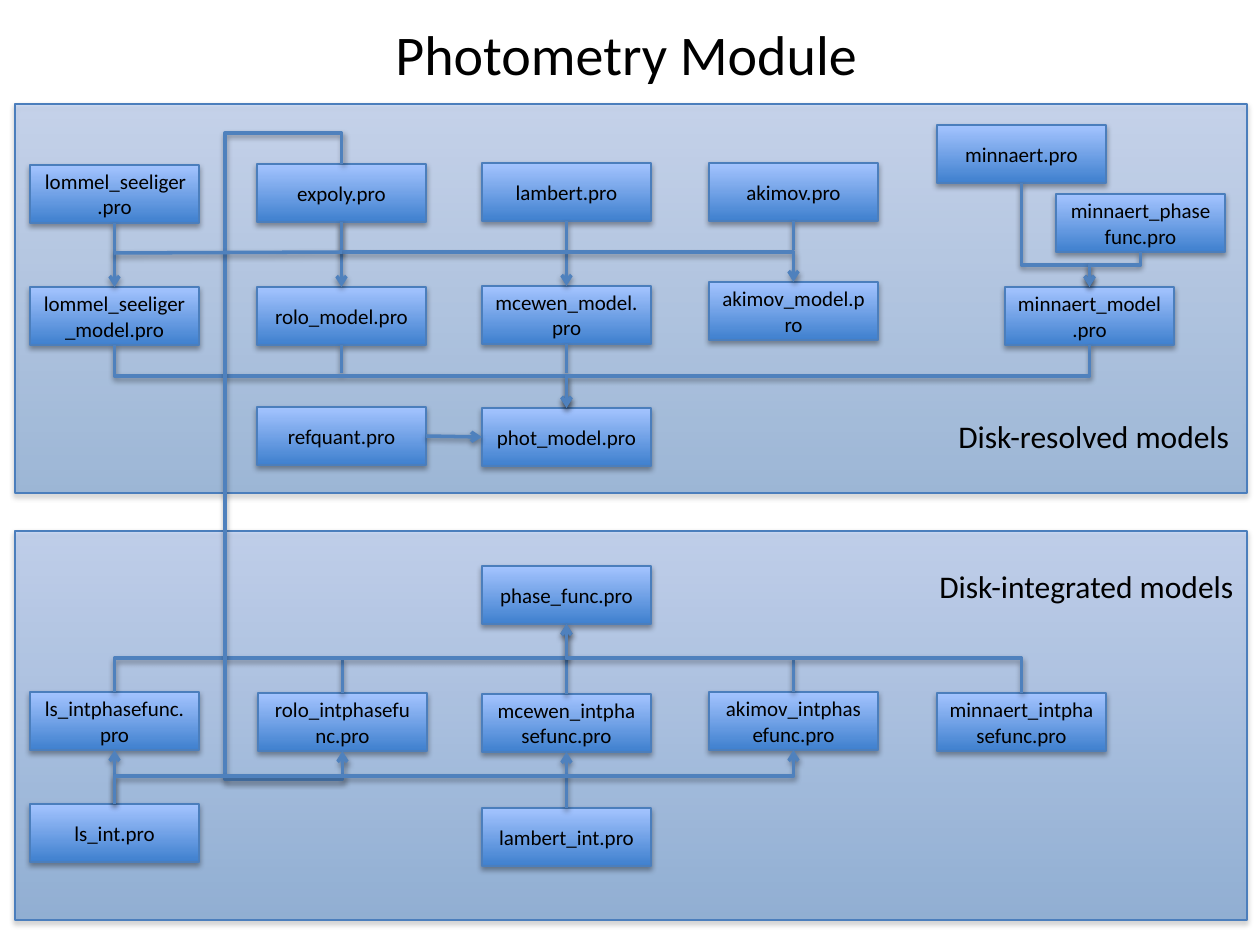
from lxml import etree
from pptx import Presentation
from pptx.dml.color import RGBColor
from pptx.enum.shapes import MSO_CONNECTOR, MSO_SHAPE
from pptx.enum.text import MSO_ANCHOR, MSO_AUTO_SIZE, PP_ALIGN
from pptx.oxml.ns import qn
from pptx.util import Pt

PX = 914400 / 126
STRAIGHT, ELBOW = MSO_CONNECTOR.STRAIGHT, MSO_CONNECTOR.ELBOW
RECTANGLE = MSO_SHAPE.RECTANGLE
MIDDLE, CENTER = MSO_ANCHOR.MIDDLE, PP_ALIGN.CENTER
GROW = MSO_AUTO_SIZE.SHAPE_TO_FIT_TEXT
TOP, LEFT, BOTTOM, RIGHT = range(4)

FONT = "Calibri"
BLACK = RGBColor(0x00, 0x00, 0x00)
DEEP_BLUE = RGBColor(0x3F, 0x80, 0xCE)
PALE_BLUE = RGBColor(0xA4, 0xC4, 0xFF)
BORDER_BLUE = RGBColor(0x4B, 0x7E, 0xBC)
ARROW_BLUE = RGBColor(0x4F, 0x81, 0xBD)

BOX_WIDTH, BOX_HEIGHT = 169, 58
LOMMEL, ROLO, MCEWEN, AKIMOV, MINNAERT = 30, 257, 482, 709, 937

MODULES = {
    "lommel_seeliger": (LOMMEL, 165),
    "expoly": (ROLO, 164),
    "lambert": (MCEWEN, 163),
    "akimov": (AKIMOV, 163),
    "minnaert": (MINNAERT, 125),
    "minnaert_phasefunc": (1056, 194),
    "lommel_seeliger_model": (LOMMEL, 287),
    "rolo_model": (ROLO, 287),
    "mcewen_model": (MCEWEN, 286),
    "akimov_model": (AKIMOV, 282),
    "minnaert_model": (1005, 287),
    "refquant": (ROLO, 407),
    "phot_model": (MCEWEN, 408),
    "phase_func": (MCEWEN, 566),
    "ls_intphasefunc": (LOMMEL, 692),
    "rolo_intphasefunc": (ROLO + 1, 693),
    "mcewen_intphasefunc": (MCEWEN, 694),
    "akimov_intphasefunc": (AKIMOV, 692),
    "minnaert_intphasefunc": (MINNAERT, 693),
    "ls_int": (LOMMEL, 804),
    "lambert_int": (MCEWEN, 808),
}
ARROWS = [
    ("refquant", RIGHT, "phot_model", LEFT),
    ("lommel_seeliger", BOTTOM, "lommel_seeliger_model", TOP),
    ("expoly", BOTTOM, "rolo_model", TOP),
    ("lambert", BOTTOM, "mcewen_model", TOP),
    ("ls_int", TOP, "ls_intphasefunc", BOTTOM),
    ("lambert_int", TOP, "mcewen_intphasefunc", BOTTOM),
]
STUBS = [
    ("rolo_model", BOTTOM, 373),
    ("mcewen_model", BOTTOM, 373),
    ("akimov", BOTTOM, 250),
    ("rolo_intphasefunc", TOP, 659),
    ("mcewen_intphasefunc", TOP, 656),
    ("akimov_intphasefunc", TOP, 659),
]
ELBOWS = [
    ("lommel_seeliger_model", BOTTOM, "phot_model", TOP, [376]),
    ("minnaert_model", BOTTOM, "phot_model", TOP, [376]),
    ("minnaert", BOTTOM, "minnaert_model", TOP, [265]),
    ("minnaert_phasefunc", BOTTOM, "minnaert_model", TOP, [265]),
    ("expoly", BOTTOM, "akimov_model", TOP, [252]),
    ("ls_intphasefunc", TOP, "phase_func", BOTTOM, [658]),
    ("minnaert_intphasefunc", TOP, "phase_func", BOTTOM, [658]),
    ("expoly", TOP, "rolo_intphasefunc", BOTTOM, [133, 224, 779]),
    ("ls_int", TOP, "akimov_intphasefunc", BOTTOM, [776]),
]


def emu(*lengths):
    """Turn px lengths into a list of EMU lengths."""
    return [round(length * PX) for length in lengths]


def add_child(parent, tag, **attributes):
    """Append a DrawingML element with the given attributes."""
    child = etree.SubElement(parent, qn(tag))
    for key, value in attributes.items():
        child.set(key, str(value))
    return child


def add_shadow(shape, distance, opacity):
    """Give a shape or connector a soft shadow straight below it."""
    effects = add_child(shape._element.spPr, "a:effectLst")
    shadow = add_child(effects, "a:outerShdw", blurRad=40000, dist=distance,
                       dir=5400000, rotWithShape=0)
    tint = add_child(shadow, "a:srgbClr", val=BLACK)
    add_child(tint, "a:alpha", val=opacity * 1000)


def write(frame, text, size):
    """Put one line of black text into a text frame."""
    frame.text = text
    font = frame.paragraphs[0].runs[0].font
    font.name, font.size, font.color.rgb = FONT, Pt(size), BLACK


def add_block(slide, left, top, width, height, opacity=100):
    """Add a rectangle with the blue gradient, border and shadow."""
    block = slide.shapes.add_shape(RECTANGLE, *emu(left, top, width, height))
    block.fill.gradient()
    block.fill.gradient_angle = 90
    for stop, color in zip(block.fill.gradient_stops, (DEEP_BLUE, PALE_BLUE)):
        stop.color.rgb = color
    if opacity < 100:
        for tint in block._element.spPr.iter(qn("a:srgbClr")):
            add_child(tint, "a:alpha", val=opacity * 1000)
    block.line.color.rgb = BORDER_BLUE
    block.line.width = Pt(0.75)
    add_shadow(block, 23000, 35)
    return block


def add_module(slide, name, left, top):
    """Add the labelled box of one program file."""
    module = add_block(slide, left, top, BOX_WIDTH, BOX_HEIGHT)
    frame = module.text_frame
    frame.word_wrap = True
    frame.vertical_anchor = MIDDLE
    write(frame, f"{name}.pro", 12)
    frame.paragraphs[0].alignment = CENTER
    return module


def add_label(slide, text, size, left, top, width, height):
    """Add a free line of text."""
    label = slide.shapes.add_textbox(*emu(left, top, width, height))
    label.text_frame.word_wrap = False
    label.text_frame.auto_size = GROW
    write(label.text_frame, text, size)


def style_link(link, arrow):
    """Set the line, arrowhead and shadow of a connector."""
    link.line.color.rgb = ARROW_BLUE
    link.line.width = Pt(2)
    if arrow:
        add_child(link._element.spPr.find(qn("a:ln")), "a:tailEnd", type="arrow")
    add_shadow(link, 20000, 38)


def add_arrow(slide, source, source_side, target, target_side, kind=STRAIGHT):
    """Join two boxes with an arrow."""
    link = slide.shapes.add_connector(kind, 0, 0, 0, 0)
    link.begin_connect(source, source_side)
    link.end_connect(target, target_side)
    style_link(link, True)
    return link


def add_stub(slide, module, side, bus):
    """Run a plain line from a box up or down to a bus."""
    x = module.left + module.width // 2
    link = slide.shapes.add_connector(STRAIGHT, x, module.top, x, *emu(bus))
    link.begin_connect(module, side)
    style_link(link, False)


def add_elbow(slide, source, source_side, target, target_side, bends):
    """Join two boxes by an arrow that leaves vertically and turns at bends."""
    link = add_arrow(slide, source, source_side, target, target_side, ELBOW)
    x, y = link.begin_x, link.begin_y
    dx, dy = link.end_x - x, link.end_y - y
    link.width, link.height = abs(dy), abs(dx)
    link.left = x + (dx - abs(dy)) // 2
    link.top = y + (dy - abs(dx)) // 2
    frame = link._element.spPr.find(qn("a:xfrm"))
    frame.set("rot", str((270 if (dx > 0) == (dy > 0) else 90) * 60000))
    frame.set("flipH", str(int(dx > 0)))
    frame.set("flipV", str(int(dy < 0)))
    geometry = link._element.spPr.find(qn("a:prstGeom"))
    geometry.set("prst", f"bentConnector{len(bends) + 2}")
    guides = geometry.find(qn("a:avLst"))
    for index, bend in enumerate(emu(*bends)):
        share = (bend - x) / dx if index % 2 else (bend - y) / dy
        name = f"adj{index + 1}"
        add_child(guides, "a:gd", name=name, fmla=f"val {round(share * 100000)}")


def main():
    """Build the slide and save it."""
    deck = Presentation()
    deck.slide_width, deck.slide_height = emu(1260, 945)
    slide = deck.slides.add_slide(deck.slide_layouts[6])
    add_block(slide, 15, 531, 1232, 389, 45)
    add_block(slide, 15, 104, 1232, 389, 40)
    modules = {name: add_module(slide, name, *place)
               for name, place in MODULES.items()}
    for source, source_side, target, target_side in ARROWS:
        add_arrow(slide, modules[source], source_side, modules[target], target_side)
    for name, side, bus in STUBS:
        add_stub(slide, modules[name], side, bus)
    for source, source_side, target, target_side, bends in ELBOWS:
        add_elbow(slide, modules[source], source_side,
                  modules[target], target_side, bends)
    shared_input = slide.shapes.add_connector(STRAIGHT, *emu(114, 253, 342, 252))
    style_link(shared_input, False)
    add_label(slide, "Disk-resolved models", 18, 946, 411, 301, 50)
    add_label(slide, "Disk-integrated models", 18, 927, 561, 326, 50)
    add_label(slide, "Photometry Module", 32, 383, 13, 491, 81)
    deck.save("out.pptx")


if __name__ == "__main__":
    main()
